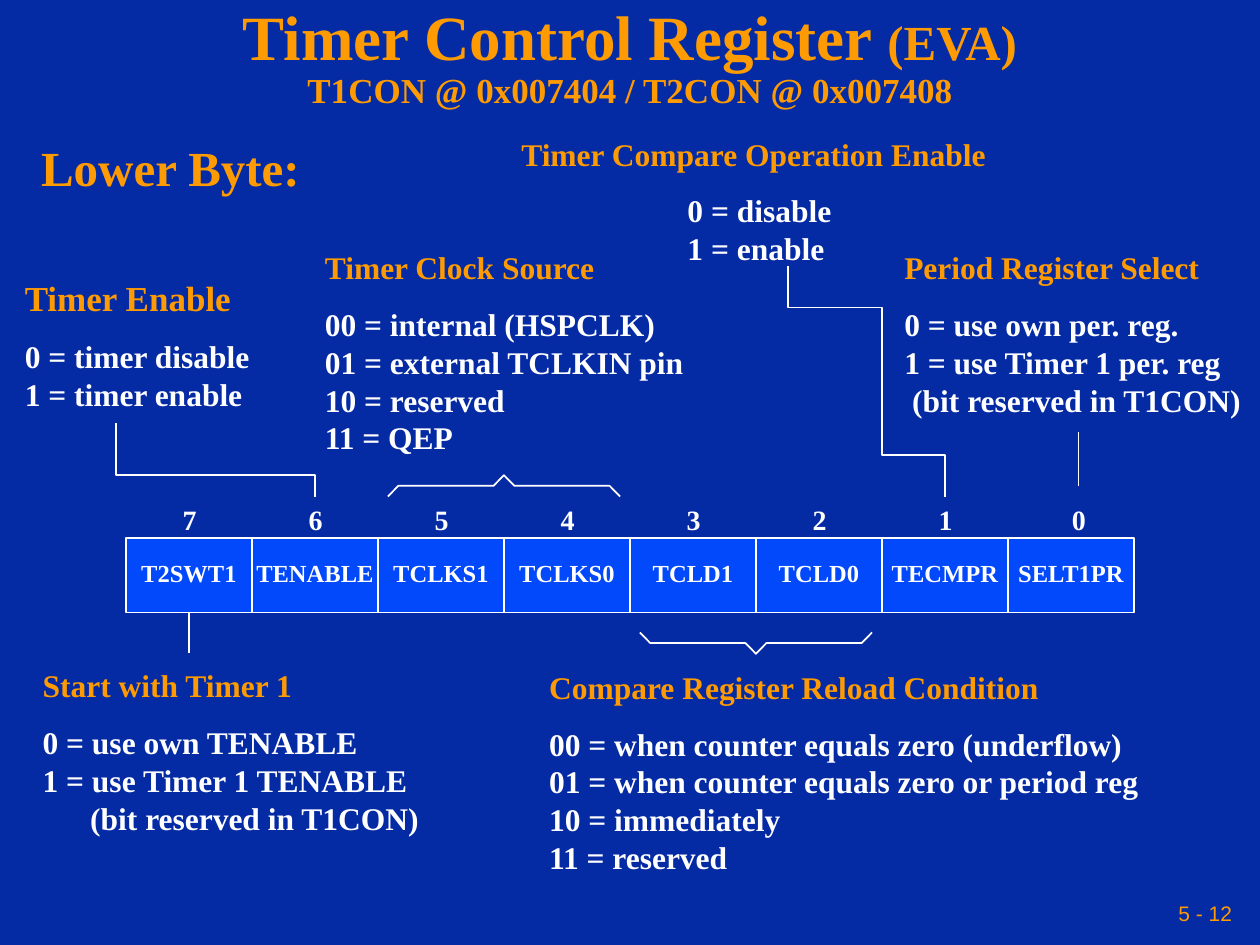
from dataclasses import dataclass
from typing import NamedTuple

from lxml.etree import SubElement
from pptx import Presentation
from pptx.dml.color import RGBColor as Color
from pptx.enum.shapes import MSO_CONNECTOR as Connector
from pptx.enum.shapes import MSO_SHAPE as Shape
from pptx.enum.text import MSO_ANCHOR as Anchor
from pptx.enum.text import MSO_AUTO_SIZE as AutoSize
from pptx.enum.text import PP_ALIGN as Align
from pptx.oxml.ns import qn
from pptx.util import Cm, Pt


@dataclass(frozen=True)
class Theme:
    background: Color = Color.from_string("042AA4")
    accent: Color = Color.from_string("FE9B03")
    cell: Color = Color.from_string("0249FC")
    white: Color = Color.from_string("FFFFFF")
    serif: str = "Times New Roman"
    sans: str = "Arial"
    title: int = 36
    large: int = 28
    subtitle: int = 20
    body: int = 18
    digit: int = 16
    bit_name: int = 14
    page: int = 12
    stroke: int = 1


class Box(NamedTuple):
    left: float
    top: float
    width: float
    height: float


class Bit(NamedTuple):
    name: str
    digit_shift: float = 0


class Line(NamedTuple):
    text: str
    indent: float = 0


class Note(NamedTuple):
    box: Box
    heading: str
    lines: list[Line]
    heading_size: int = 18


THEME = Theme()
COLUMN, ROW_TOP, ROW_HEIGHT = 2.54, 10.85, 1.5
LEADER_END = 10.01  # just above the bit numbers

BITS = [Bit("T2SWT1"), Bit("TENABLE"), Bit("TCLKS1"), Bit("TCLKS0"),
        Bit("TCLD1"), Bit("TCLD0"), Bit("TECMPR"), Bit("SELT1PR", 0.15)]

NOTES = [
    Note(Box(0.61, 13.31, 8.1, 3.68), "Start with Timer 1",
         [Line("0 = use own TENABLE"), Line("1 = use Timer 1 TENABLE"),
          Line("(bit reserved in T1CON)", 0.96)]),
    Note(Box(0.25, 5.44, 5.05, 3), "Timer Enable",
         [Line("0 = timer disable"), Line("1 = timer enable")], THEME.subtitle),
    Note(Box(6.3, 4.88, 7.75, 4.45), "Timer Clock Source",
         [Line("00 = internal (HSPCLK)"), Line("01 = external TCLKIN pin"),
          Line("10 = reserved"), Line("11 = QEP")]),
    Note(Box(10.82, 13.34, 12.45, 4.45), "Compare Register Reload Condition",
         [Line("00 = when counter equals zero (underflow)"),
          Line("01 = when counter equals zero or period reg"),
          Line("10 = immediately"), Line("11 = reserved")]),
    Note(Box(10.26, 2.59, 9.91, 2.92), "Timer Compare Operation Enable",
         [Line("0 = disable", 3.35), Line("1 = enable", 3.35)]),
    Note(Box(17.98, 4.88, 7.32, 3.68), "Period Register Select",
         [Line("0 = use own per. reg."), Line("1 = use Timer 1 per. reg"),
          Line("(bit reserved in T1CON)", 0.16)]),
]


def add_run(paragraph, text: str, size: int, color: Color, **changes) -> None:
    run = paragraph.add_run()
    run.text = text
    font_format = {"name": THEME.serif, "size": Pt(size), "bold": True} | changes
    for name, value in font_format.items():
        setattr(run.font, name, value)
    run.font.color.rgb = color


def add_text_box(slide, box: Box):
    frame = slide.shapes.add_textbox(*map(Cm, box)).text_frame
    frame.word_wrap = False
    return frame


def style_line(shape) -> None:
    shape.line.color.rgb = THEME.white
    shape.line.width = Pt(THEME.stroke)


def add_polyline(slide, points: list[tuple[float, float]]) -> None:
    corners = [(Cm(x), Cm(y)) for x, y in points]
    builder = slide.shapes.build_freeform(*corners[0])
    builder.add_line_segments(corners[1:], close=False)
    shape = builder.convert_to_shape()
    shape.shadow.inherit = False
    shape.fill.background()
    style_line(shape)


def add_brace(slide, center: float, open_y: float, tip_y: float) -> None:
    middle = (open_y + tip_y) / 2
    half = [(2.34, open_y), (2.13, middle), (0.21, middle)]
    left = [(center - x, y) for x, y in half]
    right = [(center + x, y) for x, y in reversed(half)]
    add_polyline(slide, left + [(center, tip_y)] + right)


def add_straight(slide, x: float, start_y: float, end_y: float):
    connector = slide.shapes.add_connector(
        Connector.STRAIGHT, Cm(x), Cm(start_y), Cm(x), Cm(end_y))
    style_line(connector)
    SubElement(connector._element.spPr, qn("a:effectLst"))
    return connector


def add_bit(slide, index: int, bit: Bit):
    left = COLUMN * (index + 1)
    cell = slide.shapes.add_shape(
        Shape.RECTANGLE, Cm(left), Cm(ROW_TOP), Cm(COLUMN), Cm(ROW_HEIGHT))
    cell.shadow.inherit = False
    cell.fill.solid()
    cell.fill.fore_color.rgb = THEME.cell
    style_line(cell)
    frame = cell.text_frame
    frame_format = {"word_wrap": False, "vertical_anchor": Anchor.MIDDLE, "margin_left": 0,
                    "margin_right": 0, "margin_top": 0, "margin_bottom": Cm(0.1)}
    for name, value in frame_format.items():
        setattr(frame, name, value)
    name_paragraph = frame.paragraphs[0]
    name_paragraph.alignment = Align.CENTER
    add_run(name_paragraph, bit.name, THEME.bit_name, THEME.white)

    # Bit number above the cell
    digit_left = left + COLUMN / 2 - 0.38 + bit.digit_shift
    digit = add_text_box(slide, Box(digit_left, LEADER_END, 0.79, 0.91)).paragraphs[0]
    add_run(digit, str(len(BITS) - 1 - index), THEME.digit, THEME.white)
    return cell


def add_note(slide, note: Note) -> None:
    frame = add_text_box(slide, note.box)
    add_run(frame.paragraphs[0], note.heading, note.heading_size, THEME.accent)
    for index, line in enumerate(note.lines):
        paragraph = frame.add_paragraph()
        if index == 0:
            paragraph.line_spacing = 1.5
        if line.indent:
            paragraph._p.get_or_add_pPr().set("marL", str(Cm(line.indent)))
        add_run(paragraph, line.text, THEME.body, THEME.white)


def add_title(slide) -> None:
    title = slide.shapes.title
    place = Box(1.9, 0.43, 21.6, 1.5)
    for name, value in place._asdict().items():
        setattr(title, name, Cm(value))
    title.text_frame.auto_size = AutoSize.NONE
    title.text_frame.vertical_anchor = Anchor.MIDDLE
    paragraph = title.text_frame.paragraphs[0]
    paragraph.alignment = Align.CENTER
    paragraph.line_spacing = 0.9
    add_run(paragraph, "Timer Control Register ", THEME.title, THEME.accent)
    add_run(paragraph, "(EVA)", THEME.large, THEME.accent)
    paragraph.add_line_break()
    SubElement(paragraph._p[-1], qn("a:rPr"), sz=str(THEME.large * 100))
    add_run(paragraph, "T1CON @ 0x007404 / T2CON @ 0x007408", THEME.subtitle, THEME.accent)


def main() -> None:
    presentation = Presentation()
    presentation.slide_width, presentation.slide_height = Cm(25.4), Cm(19.05)
    slide = presentation.slides.add_slide(presentation.slide_layouts[5])
    slide.background.fill.solid()
    slide.background.fill.fore_color.rgb = THEME.background

    # Title, section heading and page number
    add_title(slide)
    heading = add_text_box(slide, Box(0.58, 2.64, 5.74, 1.42)).paragraphs[0]
    add_run(heading, "Lower Byte:", THEME.large, THEME.accent)
    page_frame = add_text_box(slide, Box(17.35, 17.98, 7.62, 0.84))
    page_frame.margin_right = Cm(0.13)
    page_frame.vertical_anchor = Anchor.MIDDLE
    page_frame.paragraphs[0].alignment = Align.RIGHT
    add_run(page_frame.paragraphs[0], "5 - 12", THEME.page, THEME.accent,
            name=THEME.sans, bold=False)

    # Register row and explanations
    cells = [add_bit(slide, index, bit) for index, bit in enumerate(BITS)]
    for note in NOTES:
        add_note(slide, note)

    # Braces and leaders between bits and explanations
    add_brace(slide, 4 * COLUMN, LEADER_END, 9.58)
    add_brace(slide, 6 * COLUMN, 12.75, 13.18)
    add_polyline(slide, [(6.35, LEADER_END), (6.35, 9.58), (2.34, 9.58), (2.34, 8.53)])
    add_polyline(slide, [(19.05, LEADER_END), (19.05, 9.17), (17.78, 9.17),
                         (17.78, 6.2), (15.88, 6.2), (15.88, 5.36)])
    add_straight(slide, 21.74, 9.8, 8.71)
    start_leader = add_straight(slide, 1.5 * COLUMN, ROW_TOP + ROW_HEIGHT, 13.16)
    start_leader.begin_connect(cells[0], 2)

    presentation.save("out.pptx")


if __name__ == "__main__":
    main()
